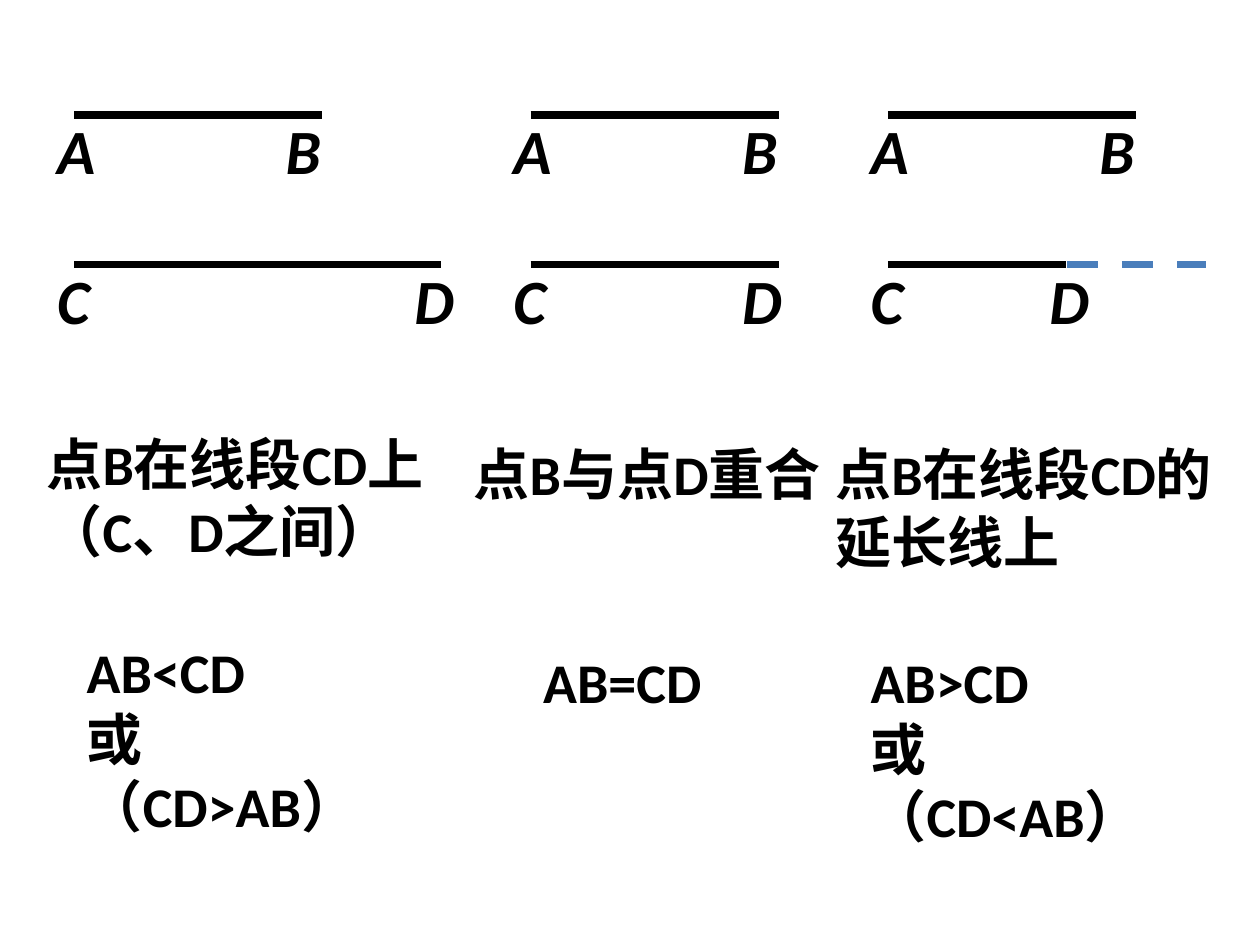
import itertools
from dataclasses import dataclass

import pptx
import pptx.dml.color
import pptx.enum.dml
import pptx.enum.shapes
import pptx.enum.text
import pptx.oxml.ns
import pptx.util
from lxml import etree

Pt = pptx.util.Pt
BLACK, BLUE = "000000", "4A7EBB"
TOP_Y, BOTTOM_Y = 65.5, 151.2
AB_LENGTH = 141.8


@dataclass
class Segment:
    names: str
    x: float
    y: float
    length: float
    end_shift: float = -28.1  # second label's left edge relative to the end


@dataclass
class Note:
    x: float
    y: float
    w: float
    h: float
    lines: list[str]


def rgb(color: str) -> pptx.dml.color.RGBColor:
    return pptx.dml.color.RGBColor.from_string(color)


def add_line(shapes, x: float, y: float, length: float, color: str = BLACK):
    line = shapes.add_connector(pptx.enum.shapes.MSO_CONNECTOR.STRAIGHT,
                                Pt(x), Pt(y), Pt(x + length), Pt(y))
    line.line.color.rgb = rgb(color)
    line.line.width = Pt(4.5)
    etree.SubElement(line._element.spPr, pptx.oxml.ns.qn("a:effectLst"))
    return line


def add_text(shapes, note: Note, size: float, italic: bool = False) -> None:
    sp = shapes.add_textbox(Pt(note.x), Pt(note.y), Pt(note.w), Pt(note.h))
    tf = sp.text_frame
    tf.word_wrap = True
    tf.auto_size = pptx.enum.text.MSO_AUTO_SIZE.SHAPE_TO_FIT_TEXT
    for i, line in enumerate(note.lines):
        p = tf.add_paragraph() if i else tf.paragraphs[0]
        p.font.size = Pt(size)
        p.font.bold = True
        p.font.italic = italic
        p.font.color.rgb = rgb(BLACK)
        # Latin letters are in Calibri, Chinese text in Arial
        for is_latin, chars in itertools.groupby(line, str.isascii):
            r = p.add_run()
            r.text = "".join(chars)
            r.font.name = "Calibri" if is_latin else "Arial"


def add_segment(slide, seg: Segment) -> None:
    shapes = slide.shapes.add_group_shape().shapes
    add_line(shapes, seg.x, seg.y, seg.length)
    label_xs = (seg.x - 17, seg.x + seg.length + seg.end_shift)
    for name, x in zip(seg.names, label_xs):
        add_text(shapes, Note(x, seg.y - 5.4, 39.6, 50.4, [name]), 36, italic=True)


COLUMNS = (42.5, 303.3, 507.4)

SEGMENTS = [Segment("AB", x, TOP_Y, AB_LENGTH) for x in COLUMNS] + [
    Segment("CD", COLUMNS[0], BOTTOM_Y, 209.5, -22.3),
    Segment("CD", COLUMNS[1], BOTTOM_Y, AB_LENGTH),
    Segment("CD", COLUMNS[2], BOTTOM_Y, 101.9, -16.7),
]

NOTES = [
    # Position of point B
    Note(19.5, 242, 249.8, 122.4, ["点B在线段CD上", "（C、D之间）"]),
    Note(263.6, 247.9, 226.8, 84.2, ["点B与点D重合"]),
    Note(470.2, 247.9, 249.8, 84.2, ["点B在线段CD的延长线上"]),
    # Comparison of lengths
    Note(42.5, 360.7, 187.2, 122.4, ["AB<CD", "或（CD>AB）"]),
    Note(303.3, 366.5, 118.8, 46.1, ["AB=CD"]),
    Note(490.4, 366.5, 187.2, 122.4, ["AB>CD", "或（CD<AB）"]),
]


def main() -> None:
    prs = pptx.Presentation()
    prs.slide_width, prs.slide_height = Pt(720), Pt(540)
    s = prs.slides.add_slide(prs.slide_layouts[6])

    # Segments with their end labels
    for seg in SEGMENTS:
        add_segment(s, seg)

    # Extension of the third CD
    extension = add_line(s.shapes, 609.5, BOTTOM_Y, 79.5, BLUE)
    extension.line.dash_style = pptx.enum.dml.MSO_LINE.DASH

    # Explanations
    for note in NOTES:
        add_text(s.shapes, note, 32)

    prs.save("out.pptx")


if __name__ == "__main__":
    main()
